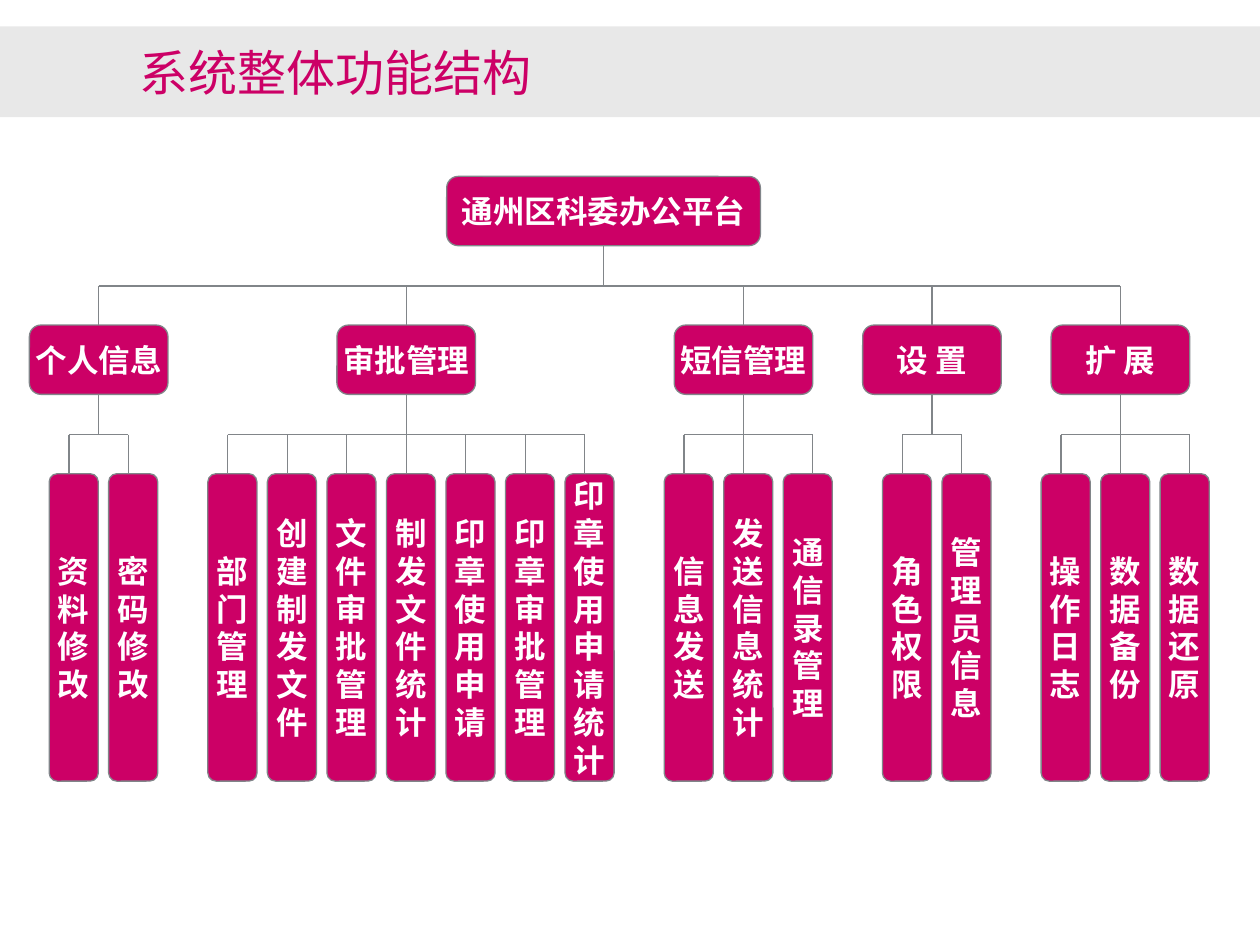
import pptx
import pptx.dml.color
import pptx.enum.shapes
import pptx.enum.text
import pptx.util
from lxml import etree
from pptx.oxml.ns import qn

TITLE = "系统整体功能结构"
PLATFORM = "通州区科委办公平台"
MODULES = [
    ("个人信息", ["资料修改", "密码修改"]),
    ("审批管理", ["部门管理", "创建制发文件", "文件审批管理", "制发文件统计",
              "印章使用申请", "印章审批管理", "印章使用申请统计"]),
    ("短信管理", ["信息发送", "发送信息统计", "通信录管理"]),
    ("设 置", ["角色权限", "管理员信息"]),
    ("扩 展", ["操作日志", "数据备份", "数据还原"]),
]

MAGENTA, GREY, BAND, WHITE = "CC0066", "818589", "E8E8E8", "FFFFFF"
LATIN, CHINESE = "Arial", "Noto Sans CJK SC"

CHART_LEFT, CHART_WIDTH = 0.39, 9.29
GROUP_GAP = 2 / 3
COLUMNS = sum(len(functions) for _, functions in MODULES) + GROUP_GAP * (len(MODULES) - 1)
PITCH = CHART_WIDTH / COLUMNS
DROP_INSET = PITCH / 3
FUNCTION_SIZE = (0.39, 2.44)
MODULE_SIZE = (1.1, 0.55)
PLATFORM_SIZE = (2.49, 0.55)
PLATFORM_CENTRE = 4.79
PLATFORM_TOP, MODULE_BUS, MODULE_TOP, FUNCTION_BUS, FUNCTION_TOP = 1.4, 2.27, 2.58, 3.45, 3.76

inches, points = pptx.util.Inches, pptx.util.Pt


def colour(value):
    return pptx.dml.color.RGBColor.from_string(value)


def add_run(paragraph, text, size, shade, typeface, bold=False):
    run = paragraph.add_run()
    run.text = text
    run.font.size = points(size)
    run.font.bold = bold
    run.font.name = typeface
    run.font.color.rgb = colour(shade)
    latin = run.font._element.find(qn("a:latin"))
    east_asian = etree.Element(qn("a:ea"), typeface=CHINESE)
    latin.addnext(east_asian)


def add_box(slide, lines, left, top, size):
    box = slide.shapes.add_shape(
        pptx.enum.shapes.MSO_SHAPE.ROUNDED_RECTANGLE,
        inches(left), inches(top), *map(inches, size))
    box.shadow.inherit = False
    box.fill.solid()
    box.fill.fore_color.rgb = colour(MAGENTA)
    box.line.color.rgb = colour(GREY)
    box.line.width = points(0.75)
    frame = box.text_frame
    frame.word_wrap = False
    frame.vertical_anchor = pptx.enum.text.MSO_ANCHOR.MIDDLE
    frame.margin_left = frame.margin_right = frame.margin_top = frame.margin_bottom = 0
    for index, line in enumerate(lines):
        paragraph = frame.add_paragraph() if index else frame.paragraphs[0]
        paragraph.alignment = pptx.enum.text.PP_ALIGN.CENTER
        if len(lines) > 1:
            paragraph.line_spacing = points(21.6)
        add_run(paragraph, line, 18, WHITE, LATIN, bold=True)
    return box


def add_line(slide, x1, y1, x2, y2):
    line = slide.shapes.add_connector(
        pptx.enum.shapes.MSO_CONNECTOR.STRAIGHT, *map(inches, (x1, y1, x2, y2)))
    line.line.color.rgb = colour(GREY)
    line.line.width = points(0.75)
    etree.SubElement(line._element.spPr, qn("a:effectLst"))
    return line


def add_title(slide):
    title = slide.shapes.title
    title.left, title.top, title.width, title.height = map(inches, (1.01, 0.29, 8.59, 0.57))
    title.text_frame.vertical_anchor = pptx.enum.text.MSO_ANCHOR.BOTTOM
    paragraph = title.text_frame.paragraphs[0]
    paragraph.alignment = pptx.enum.text.PP_ALIGN.LEFT
    paragraph.line_spacing = 0.9
    add_run(paragraph, TITLE, 28, MAGENTA, CHINESE)
    band = slide.shapes.add_shape(
        pptx.enum.shapes.MSO_SHAPE.RECTANGLE, 0, inches(0.21), inches(10), inches(0.72))
    band.shadow.inherit = False
    band.fill.solid()
    band.fill.fore_color.rgb = colour(BAND)
    band.line.fill.background()
    title.element.addprevious(band.element)


def add_module(slide, name, functions, left):
    drops = [left + DROP_INSET + PITCH * column for column in range(len(functions))]
    centre = (drops[0] + drops[-1]) / 2
    if len(functions) == 3:
        drops[-1] = centre + MODULE_SIZE[0] / 2
    module = add_box(slide, [name], centre - MODULE_SIZE[0] / 2, MODULE_TOP, MODULE_SIZE)
    for column, function in enumerate(functions):
        add_box(slide, list(function), left + PITCH * column, FUNCTION_TOP, FUNCTION_SIZE)
        add_line(slide, drops[column], FUNCTION_BUS, drops[column], FUNCTION_TOP)
    add_line(slide, drops[0], FUNCTION_BUS, drops[-1], FUNCTION_BUS)
    trunk = add_line(slide, centre, MODULE_TOP + MODULE_SIZE[1], centre, FUNCTION_BUS)
    trunk.begin_connect(module, 2)
    branch = add_line(slide, centre, MODULE_BUS, centre, MODULE_TOP)
    branch.end_connect(module, 0)
    return centre


def main():
    deck = pptx.Presentation()
    deck.slide_width, deck.slide_height = inches(10), inches(7.5)
    slide = deck.slides.add_slide(deck.slide_layouts[5])
    add_title(slide)

    centres = []
    left = CHART_LEFT
    for name, functions in MODULES:
        centres.append(add_module(slide, name, functions, left))
        left += PITCH * (len(functions) + GROUP_GAP)

    add_line(slide, centres[0], MODULE_BUS, centres[-1], MODULE_BUS)
    platform = add_box(slide, [PLATFORM], PLATFORM_CENTRE - PLATFORM_SIZE[0] / 2,
                       PLATFORM_TOP, PLATFORM_SIZE)
    stem = add_line(slide, PLATFORM_CENTRE, PLATFORM_TOP + PLATFORM_SIZE[1],
                    PLATFORM_CENTRE, MODULE_BUS)
    stem.begin_connect(platform, 2)
    deck.save("out.pptx")


if __name__ == "__main__":
    main()
